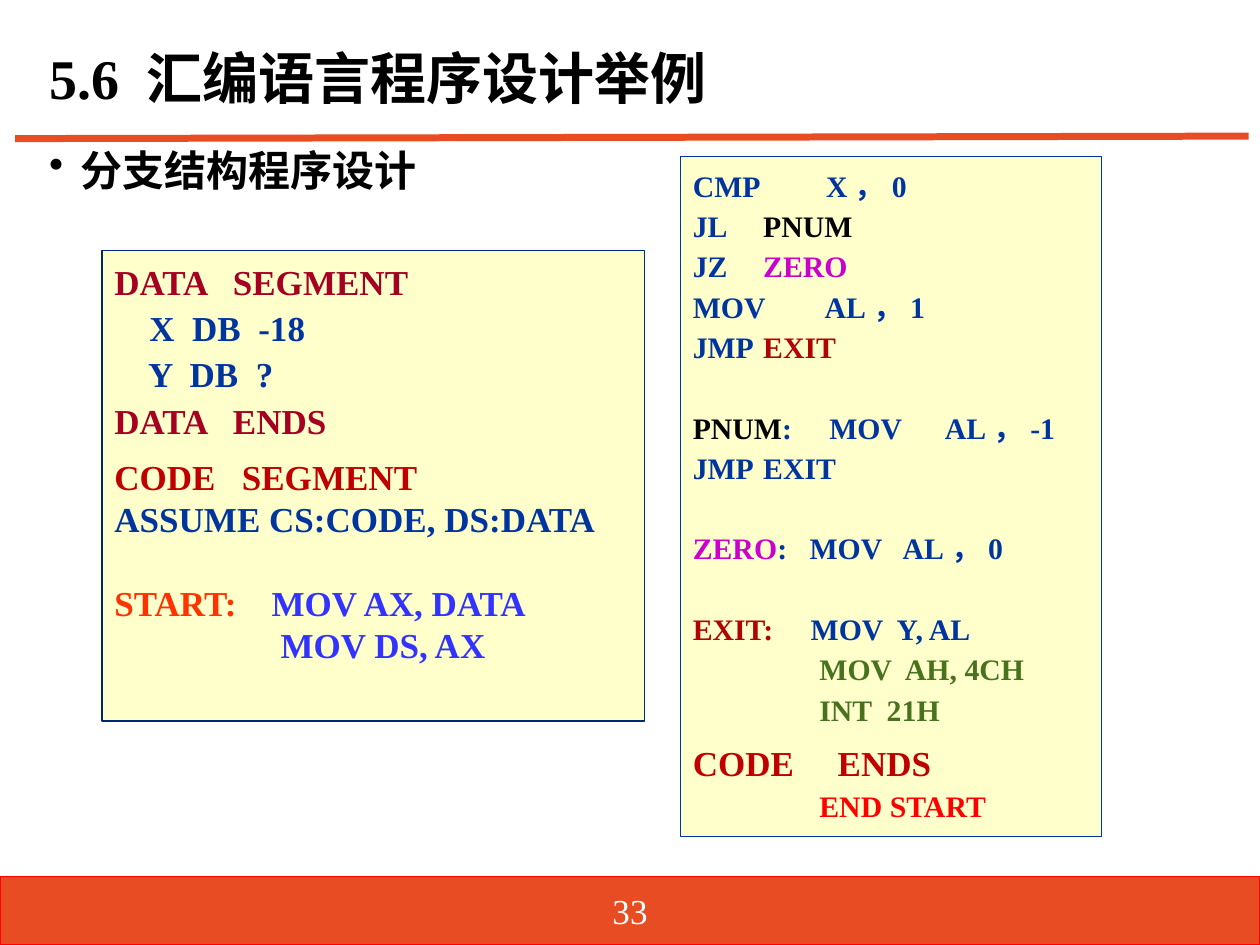
from lxml import etree
from pptx import Presentation
from pptx import util as u
from pptx.dml import color
from pptx.enum import shapes, text
from pptx.oxml import ns

Pt = u.Pt
ORANGE, CREAM, WHITE, BLACK = "E84C22", "FFFFCC", "FFFFFF", "000000"
NAVY, BLUE, MAROON, CRIMSON = "00349E", "3333FF", "A50021", "C00000"
DARK_RED, MAGENTA, GREEN = "B10303", "CC00CC", "49721E"


def rgb(value):
    return color.RGBColor.from_string(value)


class SlideBuilder:
    font_name = "Times New Roman"

    def __init__(self, slide):
        self.slide = slide

    def rectangle(self, left, top, width, height, fill, line, line_width):
        shape = self.slide.shapes.add_shape(
            shapes.MSO_SHAPE.RECTANGLE, Pt(left), Pt(top), Pt(width), Pt(height))
        shape.shadow.inherit = False
        shape.fill.solid()
        shape.fill.fore_color.rgb = rgb(fill)
        shape.line.color.rgb = rgb(line)
        shape.line.width = Pt(line_width)
        return shape

    def rule(self, start, end, line, line_width):
        points = [Pt(value) for value in (*start, *end)]
        connector = self.slide.shapes.add_connector(
            shapes.MSO_CONNECTOR.STRAIGHT, *points)
        connector.line.color.rgb = rgb(line)
        connector.line.width = Pt(line_width)
        etree.SubElement(connector._element.spPr, ns.qn("a:effectLst"))

    def paragraph(self, paragraph, runs, size, bold=True, spacing=1.0, before=0):
        """Fill a paragraph with (wording, colour) runs."""
        for wording, colour in runs:
            run = paragraph.add_run()
            run.text = wording
            if len(runs) > 1:
                run.font.color.rgb = rgb(colour)
        font = paragraph.font
        font.name, font.size, font.bold = self.font_name, Pt(size), bold
        if len(runs) == 1:
            font.color.rgb = rgb(runs[0][1])
        paragraph.line_spacing = spacing
        paragraph.space_before = Pt(before)

    def label(self, left, top, width, height, wording, size, colour,
              bold=True, spacing=1.0, centred=False, bullet=False,
              anchor=text.MSO_ANCHOR.MIDDLE):
        box = self.slide.shapes.add_textbox(Pt(left), Pt(top), Pt(width), Pt(height))
        frame = box.text_frame
        frame.word_wrap = True
        frame.vertical_anchor = anchor
        paragraph = frame.paragraphs[0]
        paragraph.alignment = text.PP_ALIGN.CENTER if centred else text.PP_ALIGN.LEFT
        if bullet:
            properties = paragraph._p.get_or_add_pPr()
            properties.set("marL", str(Pt(18)))
            properties.set("indent", str(-Pt(18)))
            etree.SubElement(properties, ns.qn("a:buChar"), char="•")
        self.paragraph(paragraph, [(wording, colour)], size, bold, spacing)

    def code_box(self, left, top, width, height, line, lines, size, spacing):
        """Draw a listing; each line is (runs, style overrides)."""
        shape = self.rectangle(left, top, width, height, CREAM, line, 0.75)
        frame = shape.text_frame
        frame.word_wrap = True
        frame.vertical_anchor = text.MSO_ANCHOR.TOP
        for index, (runs, overrides) in enumerate(lines):
            paragraph = frame.add_paragraph() if index else frame.paragraphs[0]
            paragraph.alignment = text.PP_ALIGN.LEFT
            style = {"size": size, "spacing": spacing, **overrides}
            self.paragraph(paragraph, runs, **style)


def code(*runs, **overrides):
    return runs, overrides


def main():
    presentation = Presentation()
    presentation.slide_width, presentation.slide_height = Pt(720), Pt(540)
    slide = presentation.slides.add_slide(presentation.slide_layouts[6])
    builder = SlideBuilder(slide)

    builder.rectangle(0, 501, 720, 39, ORANGE, "FF0000", 0)
    builder.rule((8.6, 79.2), (713.5, 77.8), ORANGE, 4)
    builder.label(21, 15, 680, 63.5, "5.6 汇编语言程序设计举例", 32, BLACK, spacing=0.9)
    builder.label(21, 79.2, 680, 421, "分支结构程序设计", 24, BLACK,
                  bullet=True, anchor=text.MSO_ANCHOR.TOP)
    builder.label(279, 506, 162, 29, "33", 20, WHITE, bold=False, centred=True)

    data_lines = [
        code(("DATA   SEGMENT", MAROON)),
        code(("    X  DB  -18", NAVY)),
        code(("    Y  DB  ?", NAVY)),
        code(("DATA   ENDS", MAROON)),
        code(("CODE   SEGMENT", CRIMSON), spacing=1.0, before=8),
        code(("ASSUME CS:CODE, DS:DATA", NAVY), spacing=1.0),
        code(("START:    ", "FF3300"), ("MOV AX, DATA", BLUE), spacing=1.0, before=24),
        code(("                   MOV DS, AX", BLUE), spacing=1.0),
    ]
    builder.code_box(58.3, 143, 310, 269, "002676", data_lines, 20, 1.1)

    block_gap = 23
    branch_lines = [
        code(("CMP\t X，0", NAVY)),
        code(("JL\t ", NAVY), ("PNUM", BLACK)),
        code(("JZ\t ", NAVY), ("ZERO", MAGENTA)),
        code(("MOV\t AL，1", NAVY)),
        code(("JMP\t ", NAVY), ("EXIT", DARK_RED)),
        code(("PNUM", BLACK), (":     MOV\tAL，-1", NAVY), before=block_gap),
        code(("JMP\t EXIT", NAVY)),
        code(("ZERO", MAGENTA), (":   MOV   AL，0", NAVY), before=block_gap),
        code(("EXIT:     ", DARK_RED), ("MOV  Y, AL", NAVY), before=block_gap),
        code(("                 MOV  AH, 4CH", GREEN)),
        code(("                 INT  21H", GREEN)),
        code(("CODE     ENDS", CRIMSON), size=20, spacing=1.0, before=8),
        code(("                 END START", "FF0000")),
    ]
    builder.code_box(388.8, 89.5, 240.5, 388.5, NAVY, branch_lines, 17, 1.13)

    presentation.save("out.pptx")


if __name__ == "__main__":
    main()
